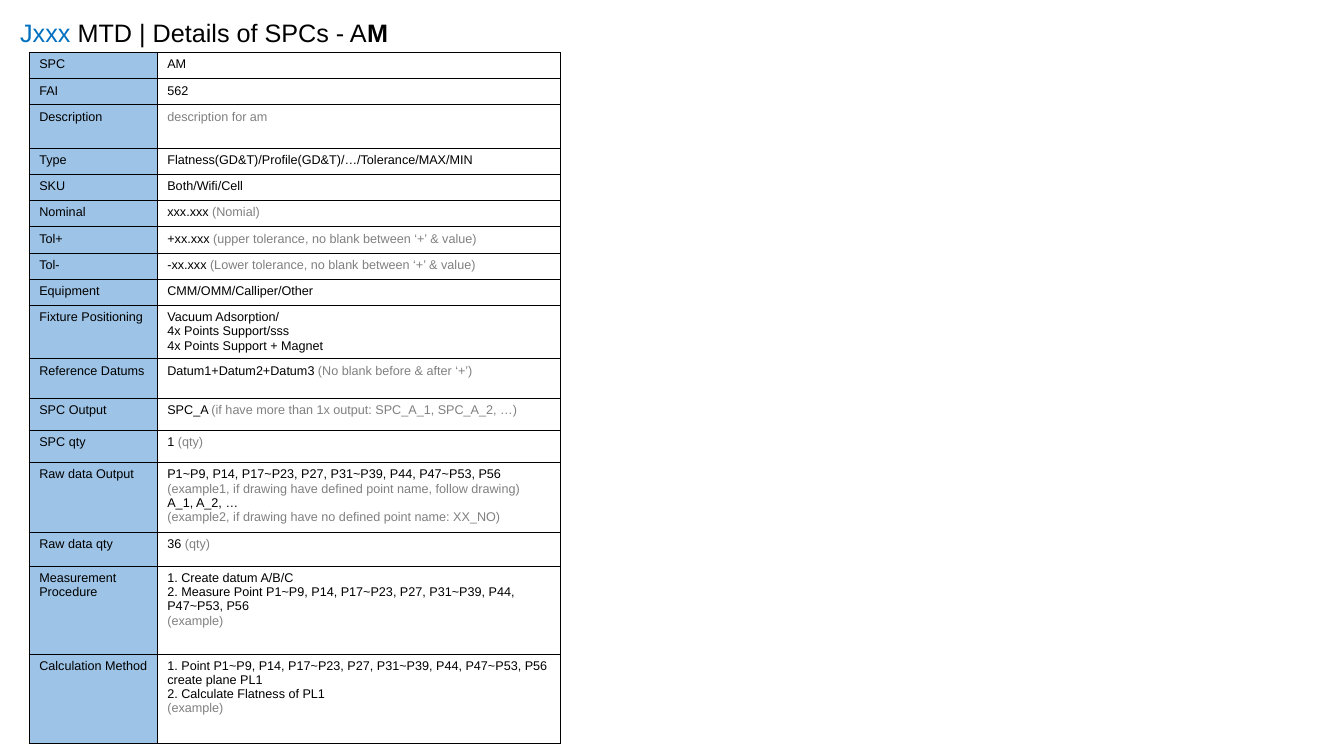
from dataclasses import dataclass

from lxml.etree import SubElement
from pptx import Presentation
from pptx.dml.color import RGBColor
from pptx.enum.text import MSO_ANCHOR, MSO_AUTO_SIZE, PP_ALIGN
from pptx.oxml.ns import qn
from pptx.util import Inches, Pt

COLORS = {"blue": "0070C0", "black": "000000", "grey": "808080",
          "label": "9DC3E6", "white": "FFFFFF"}
FONT = "Arial"
POINTS = "P1~P9, P14, P17~P23, P27, P31~P39, P44, P47~P53, P56"


@dataclass
class Line:
    """One paragraph: black text, then a grey note."""
    text: str = ""
    note: str = ""


@dataclass
class Row:
    label: str
    height: float
    lines: list[Line]


ROWS = [
    Row("SPC", 0.26, [Line("AM")]),
    Row("FAI", 0.26, [Line("562")]),
    Row("Description", 0.43, [Line(note="description for am")]),
    Row("Type", 0.26, [Line("Flatness(GD&T)/Profile(GD&T)/…/Tolerance/MAX/MIN")]),
    Row("SKU", 0.26, [Line("Both/Wifi/Cell")]),
    Row("Nominal", 0.26, [Line("xxx.xxx ", "(Nomial)")]),
    Row("Tol+", 0.26, [Line("+xx.xxx ", "(upper tolerance, no blank between ‘+’ & value)")]),
    Row("Tol-", 0.26, [Line("-xx.xxx ", "(Lower tolerance, no blank between ‘+’ & value)")]),
    Row("Equipment", 0.26, [Line("CMM/OMM/Calliper/Other")]),
    Row("Fixture Positioning", 0.53, [
        Line("Vacuum Adsorption/"),
        Line("4x Points Support/sss"),
        Line("4x Points Support + Magnet")]),
    Row("Reference Datums", 0.39, [
        Line("Datum1+Datum2+Datum3 ", "(No blank before & after ‘+’)")]),
    Row("SPC Output", 0.32, [
        Line("SPC_A ", "(if have more than 1x output: SPC_A_1, SPC_A_2, …)")]),
    Row("SPC qty", 0.32, [Line("1 ", "(qty)")]),
    Row("Raw data Output", 0.69, [
        Line(POINTS),
        Line(note="(example1, if drawing have defined point name, follow drawing)"),
        Line("A_1, A_2, …"),
        Line(note="(example2, if drawing have no defined point name: XX_NO)")]),
    Row("Raw data qty", 0.34, [Line("36 ", "(qty)")]),
    Row("Measurement Procedure", 0.87, [
        Line("1. Create datum A/B/C"),
        Line(f"2. Measure Point {POINTS}"),
        Line(note="(example)")]),
    Row("Calculation Method", 0.89, [
        Line(f"1. Point {POINTS} create plane PL1"),
        Line("2. Calculate Flatness of PL1"),
        Line(note="(example)")]),
]
WIDTHS = [1.27, 4]


def add_run(para, text: str, color: str, bold: bool = False) -> None:
    run = para.add_run()
    run.text = text
    run.font.color.rgb = RGBColor.from_string(COLORS[color])
    if bold:
        run.font.bold = True


def set_font(para, size: float) -> None:
    para.font.name = FONT
    para.font.size = Pt(size)


def add_edges(cell) -> None:
    props = cell._tc.get_or_add_tcPr()
    for at, side in enumerate(("a:lnL", "a:lnR", "a:lnT", "a:lnB")):
        edge = props.makeelement(qn(side), {"w": str(Pt(0.5))})
        fill = SubElement(edge, qn("a:solidFill"))
        SubElement(fill, qn("a:srgbClr"), val=COLORS["black"])
        props.insert(at, edge)


def fill_cell(cell, lines: list[Line], color: str) -> None:
    cell.fill.solid()
    cell.fill.fore_color.rgb = RGBColor.from_string(COLORS[color])
    add_edges(cell)
    frame = cell.text_frame
    for at, line in enumerate(lines):
        para = frame.add_paragraph() if at else frame.paragraphs[0]
        set_font(para, 9)
        if line.text:
            add_run(para, line.text, "black")
        if line.note:
            add_run(para, line.note, "grey")


def add_title(slide) -> None:
    title = slide.shapes.title
    title.left, title.top = Inches(0.1), Inches(0.12)
    title.width, title.height = Inches(6.67), Inches(0.4)
    frame = title.text_frame
    frame.auto_size = MSO_AUTO_SIZE.NONE
    frame.vertical_anchor = MSO_ANCHOR.TOP
    para = frame.paragraphs[0]
    para.alignment = PP_ALIGN.LEFT
    set_font(para, 18)
    add_run(para, "Jxxx ", "blue")
    add_run(para, "MTD | Details of SPCs - A", "black")
    add_run(para, "M", "black", bold=True)


def add_grid(slide) -> None:
    high = sum(row.height for row in ROWS)
    table = slide.shapes.add_table(
        len(ROWS), len(WIDTHS), Inches(0.29), Inches(0.52),
        Inches(sum(WIDTHS)), Inches(high)).table
    table.first_row = table.horz_banding = False
    for col, width in zip(table.columns, WIDTHS):
        col.width = Inches(width)
    for at, row in enumerate(ROWS):
        table.rows[at].height = Inches(row.height)
        fill_cell(table.cell(at, 0), [Line(row.label)], "label")
        fill_cell(table.cell(at, 1), row.lines, "white")


def main() -> None:
    deck = Presentation()
    deck.slide_width, deck.slide_height = Inches(13.33), Inches(7.5)
    slide = deck.slides.add_slide(deck.slide_layouts[5])
    add_title(slide)
    add_grid(slide)
    deck.save("out.pptx")


if __name__ == "__main__":
    main()
